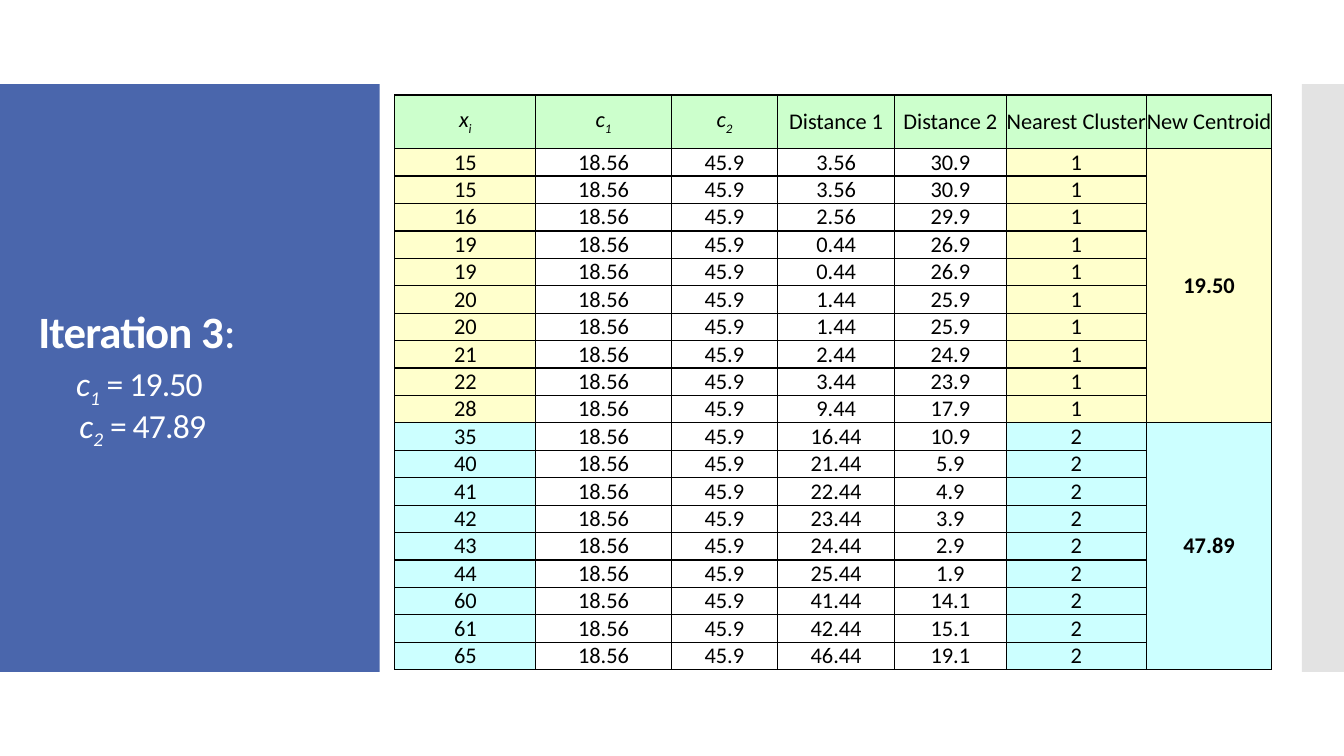
from lxml import etree
from pptx import Presentation
from pptx import util as u
from pptx.dml.color import RGBColor
from pptx.enum import shapes, text
from pptx.oxml import ns

BLUE = RGBColor(0x4A, 0x66, 0xAC)
GREY = RGBColor(0xC8, 0xC8, 0xC8)
WHITE = RGBColor(0xFF, 0xFF, 0xFF)
BLACK = RGBColor(0x00, 0x00, 0x00)
GREEN = RGBColor(0xCC, 0xFF, 0xCC)
YELLOW = RGBColor(0xFF, 0xFF, 0xCC)
CYAN = RGBColor(0xCC, 0xFF, 0xFF)

FONT = "Calibri"
SLIDE_COLUMNS, SLIDE_ROWS = 160, 90
COLUMN_WIDTHS = [16.8, 16.1, 12.7, 13.9, 13.3, 16.7, 14.9]
HEADER_HEIGHT, BODY_HEIGHT = 6.4, 3.26

HEADERS = [("x", "i"), ("c", "1"), ("c", "2"), "Distance 1", "Distance 2",
           "Nearest Cluster", "New Centroid"]
CENTROIDS = (18.56, 45.9)
CLUSTERS = [
    (1, "19.50", YELLOW, [15, 15, 16, 19, 19, 20, 20, 21, 22, 28]),
    (2, "47.89", CYAN, [35, 40, 41, 42, 43, 44, 60, 61, 65]),
]


def grid(count):
    return u.Inches(count / 12)


def add_run(paragraph, content, size=16, color=BLACK, bold=False, italic=False,
            subscript=False, spacing=None):
    run = paragraph.add_run()
    run.text = content
    font = run.font
    font.name, font.size, font.bold, font.italic = FONT, u.Pt(size), bold, italic
    font.color.rgb = color
    properties = run._r.get_or_add_rPr()
    if subscript:
        properties.set("baseline", "-25000")
    if spacing is not None:
        properties.set("spc", str(round(spacing * 100)))


def add_variable(paragraph, name, index, **style):
    add_run(paragraph, name, italic=True, **style)
    add_run(paragraph, index, italic=True, subscript=True, **style)


def add_block(slide, box, color, opacity=100):
    block = slide.shapes.add_shape(shapes.MSO_SHAPE.RECTANGLE, *map(grid, box))
    block.shadow.inherit = False
    block.fill.solid()
    block.fill.fore_color.rgb = color
    block.line.fill.background()
    if opacity < 100:
        color_element = block.element.spPr.find(".//" + ns.qn("a:srgbClr"))
        etree.SubElement(color_element, ns.qn("a:alpha"), val=str(opacity * 1000))
    slide.shapes.title.element.addprevious(block.element)


def add_title_panel(slide, box):
    add_block(slide, box, BLUE)
    left, top, width, height = box
    title = slide.shapes.title
    title.left, title.top = grid(left + 3.36), grid(top + 4.8)
    title.width, title.height = grid(width - 6.6), grid(height - 9.6)
    frame = title.text_frame
    frame.word_wrap = True
    frame.auto_size = text.MSO_AUTO_SIZE.NONE
    frame.vertical_anchor = text.MSO_ANCHOR.MIDDLE

    heading = frame.paragraphs[0]
    style = dict(color=WHITE, spacing=-0.6)
    add_run(heading, "Iteration 3", size=32, bold=True, **style)
    add_run(heading, ":", size=32, **style)
    for index, centroid, indent, gap in (("1", "19.50", 4.5, 4), ("2", "47.89", 4.9, 0)):
        line = frame.add_paragraph()
        properties = line._p.get_or_add_pPr()
        properties.set("marL", str(grid(indent)))
        properties.set("indent", "0")
        line.space_before = u.Pt(gap)
        add_variable(line, "c", index, size=24, **style)
        add_run(line, f" = {centroid}", size=24, **style)
    for paragraph in frame.paragraphs:
        paragraph.alignment = text.PP_ALIGN.LEFT
        paragraph.line_spacing = 0.9


def format_cell(cell, fill=None):
    cell.margin_left = cell.margin_right = cell.margin_top = cell.margin_bottom = 0
    cell.vertical_anchor = text.MSO_ANCHOR.MIDDLE
    properties = cell._tc.get_or_add_tcPr()
    for side in ("lnL", "lnR", "lnT", "lnB"):
        line = etree.SubElement(properties, ns.qn(f"a:{side}"), w=str(u.Pt(1)))
        solid = etree.SubElement(line, ns.qn("a:solidFill"))
        etree.SubElement(solid, ns.qn("a:srgbClr"), val=str(BLACK))
    if fill is None:
        cell.fill.background()
    else:
        cell.fill.solid()
        cell.fill.fore_color.rgb = fill


def write_cell(cell, content, bold=False):
    paragraph = cell.text_frame.paragraphs[0]
    paragraph.alignment = text.PP_ALIGN.CENTER
    if isinstance(content, tuple):
        add_variable(paragraph, *content)
    else:
        add_run(paragraph, content, bold=bold)


def add_cluster_rows(table, first_row, cluster, centroid, color, points):
    last_column = len(HEADERS) - 1
    for row, point in enumerate(points, first_row):
        distances = [f"{abs(point - center):.4g}" for center in CENTROIDS]
        values = [str(point), *map(str, CENTROIDS), *distances, str(cluster)]
        for column, value in enumerate(values):
            cell = table.cell(row, column)
            format_cell(cell, color if column in (0, last_column - 1) else None)
            write_cell(cell, value)
        format_cell(table.cell(row, last_column), color)
    top_cell = table.cell(first_row, last_column)
    top_cell.merge(table.cell(first_row + len(points) - 1, last_column))
    write_cell(top_cell, centroid, bold=True)


def add_distance_table(slide, left, top):
    body_rows = sum(len(points) for *_, points in CLUSTERS)
    width = sum(COLUMN_WIDTHS)
    height = HEADER_HEIGHT + body_rows * BODY_HEIGHT
    table = slide.shapes.add_table(body_rows + 1, len(HEADERS),
                                   *map(grid, (left, top, width, height))).table
    table.first_row = table.horz_banding = False
    for column, column_width in zip(table.columns, COLUMN_WIDTHS):
        column.width = grid(column_width)
    for index, row in enumerate(table.rows):
        row.height = grid(BODY_HEIGHT if index else HEADER_HEIGHT)
    for column, header in enumerate(HEADERS):
        format_cell(table.cell(0, column), GREEN)
        write_cell(table.cell(0, column), header)
    first_row = 1
    for cluster, centroid, color, points in CLUSTERS:
        add_cluster_rows(table, first_row, cluster, centroid, color, points)
        first_row += len(points)


def main():
    presentation = Presentation()
    presentation.slide_width = grid(SLIDE_COLUMNS)
    presentation.slide_height = grid(SLIDE_ROWS)
    slide = presentation.slides.add_slide(presentation.slide_layouts[5])
    add_title_panel(slide, (0, 10, 45.2, 70))
    add_block(slide, (155, 10, 5, 70), GREY, opacity=50)
    add_distance_table(slide, 47, 11.3)
    presentation.save("out.pptx")


if __name__ == "__main__":
    main()
